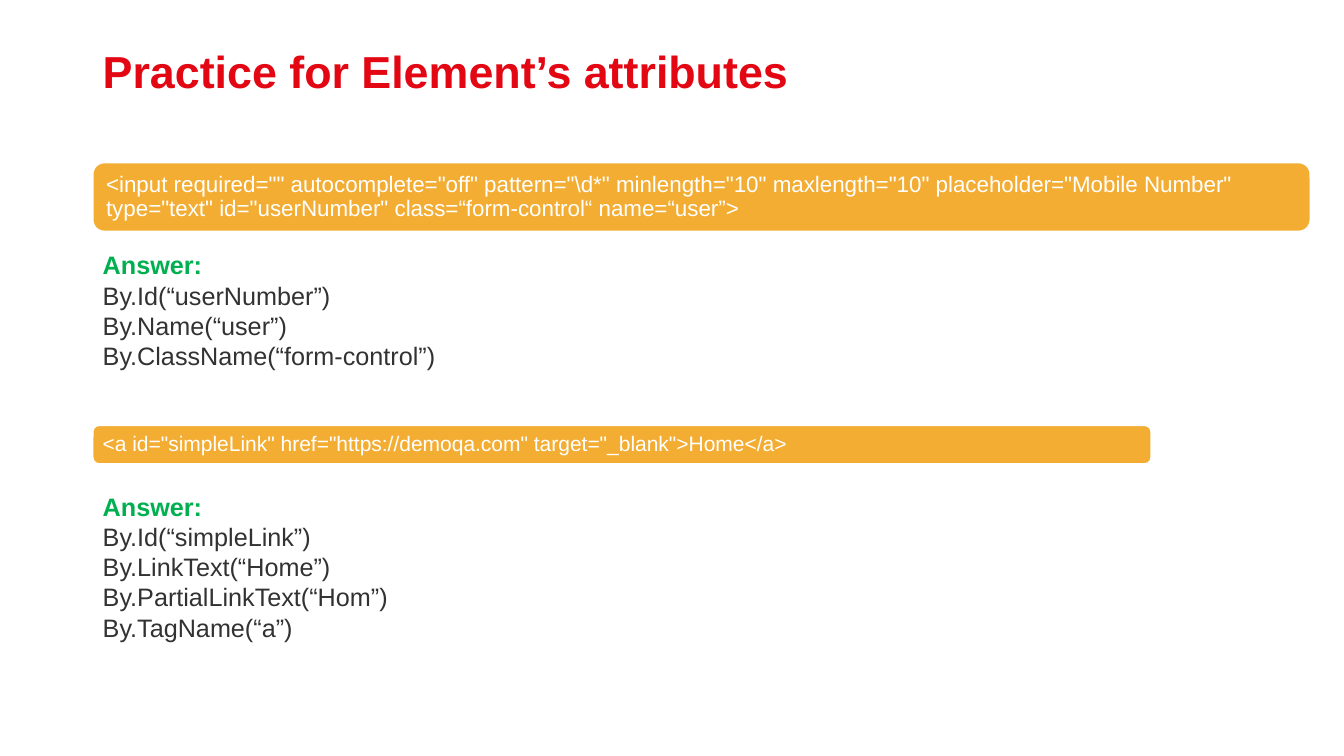
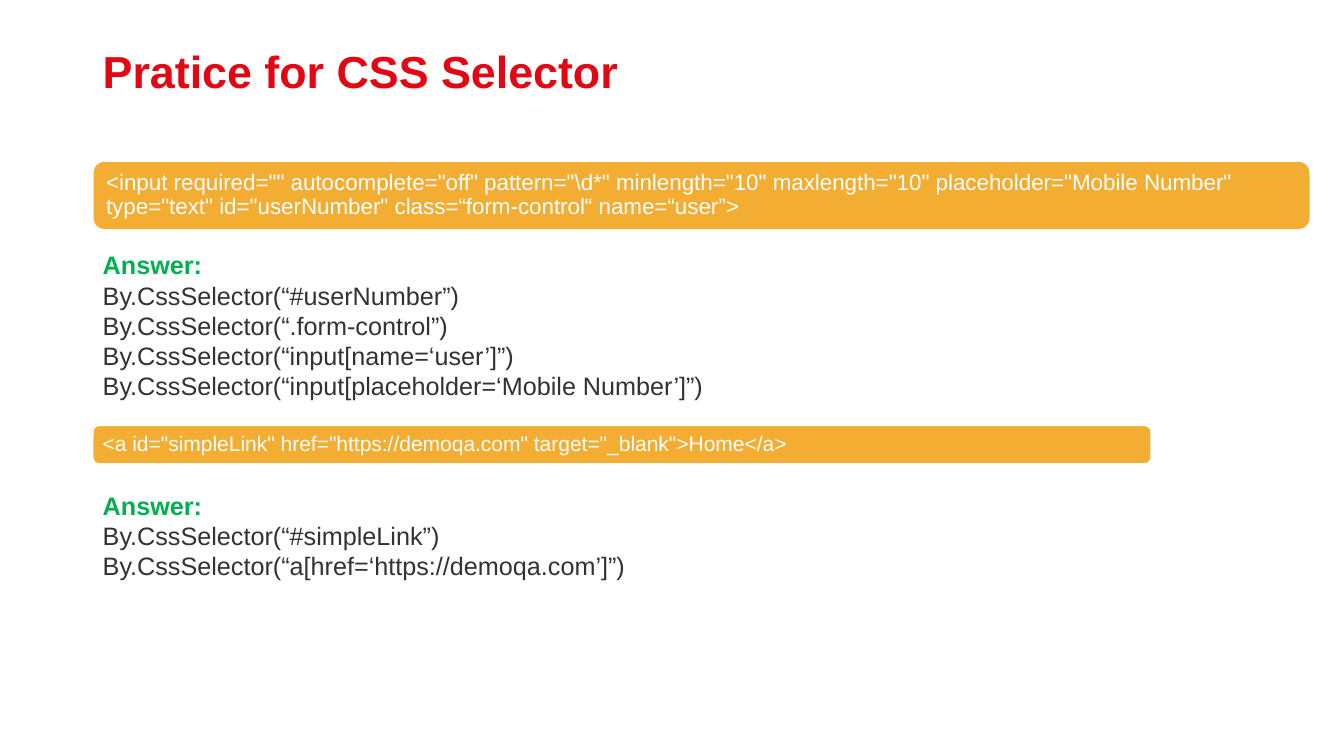
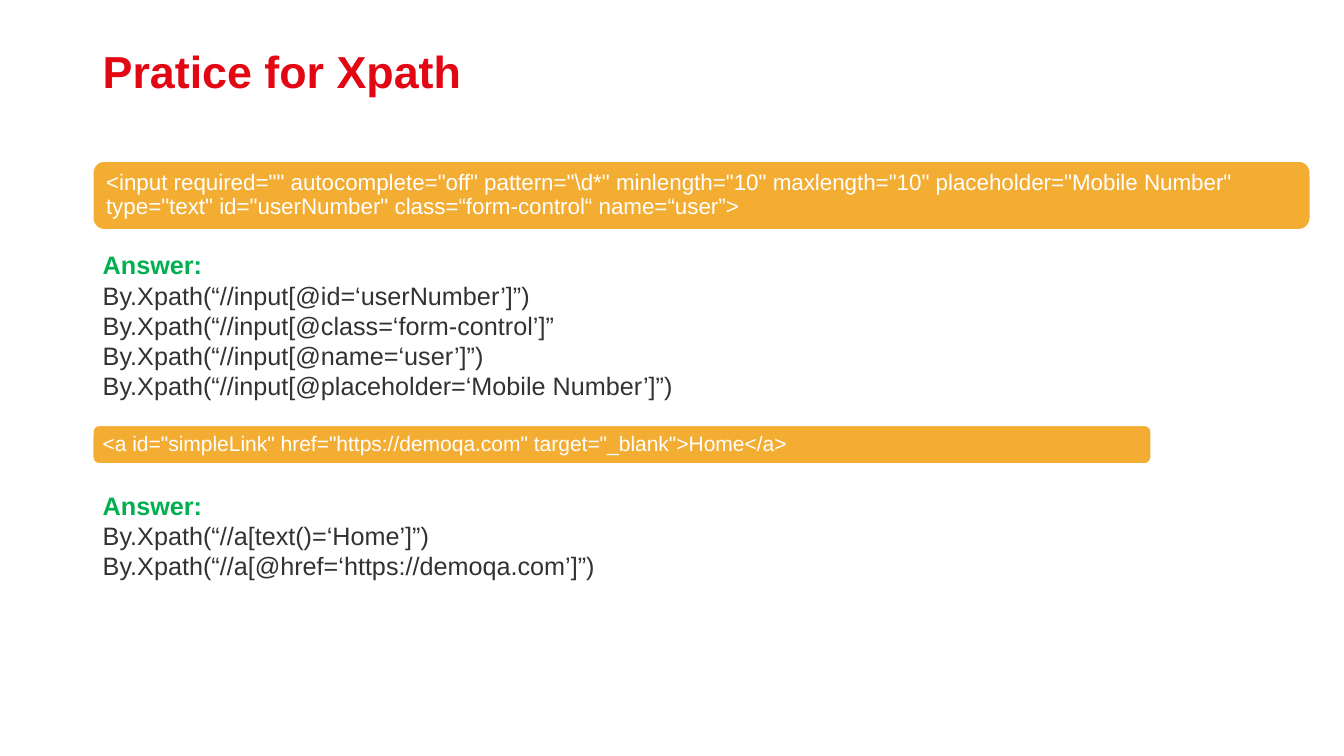
from dataclasses import dataclass

from pptx import Presentation
from pptx.dml.color import RGBColor
from pptx.enum.shapes import MSO_SHAPE as Preset
from pptx.enum.text import MSO_ANCHOR as Anchor
from pptx.enum.text import MSO_AUTO_SIZE as AutoSize
from pptx.enum.text import PP_ALIGN as Align
from pptx.slide import Slide
from pptx.util import Cm, Pt

# Shared style
RED = RGBColor(0xE3, 0x06, 0x13)
ORANGE = RGBColor(0xF3, 0xAD, 0x33)
GREEN = RGBColor(0x00, 0xB0, 0x50)
DARK = RGBColor(0x32, 0x32, 0x32)
WHITE = RGBColor(0xFF, 0xFF, 0xFF)
FONT = "Arial"
LEFT = Cm(2.34)
LINE_SPACING = 0.9
ANSWER_LINE = 0.77  # cm for each line of an answer
ANSWER_PADDING = 0.25


@dataclass(frozen=True)
class CodeBar:
    code: str
    width: float
    height: float
    inset: float
    size: int


@dataclass(frozen=True)
class Answer:
    top: float
    width: float
    lines: tuple[str, ...]


@dataclass(frozen=True)
class Practice:
    title: str
    input_top: float
    input_answer: Answer
    link_answer: Answer


INPUT_BAR = CodeBar(
    '<input required="" autocomplete="off" pattern="\\d*" minlength="10" '
    'maxlength="10" placeholder="Mobile Number" type="text" id="userNumber" '
    'class=“form-control“ name=“user”>',
    width=30.68, height=1.73, inset=0.25, size=16)
LINK_BAR = CodeBar(
    '<a id="simpleLink" href="https://demoqa.com" target="_blank">Home</a>',
    width=26.67, height=0.97, inset=0.2, size=15)
LINK_TOP = 10.72

PRACTICES = (
    Practice(
        "Practice for Element’s attributes", 4.1,
        Answer(6.17, 16.94, (
            "By.Id(“userNumber”)",
            "By.Name(“user”)",
            "By.ClassName(“form-control”)")),
        Answer(12.25, 16.94, (
            "By.Id(“simpleLink”)",
            "By.LinkText(“Home”)",
            "By.PartialLinkText(“Hom”)",
            "By.TagName(“a”)"))),
    Practice(
        "Pratice for CSS Selector", 4.06,
        Answer(6.17, 22.2, (
            "By.CssSelector(“#userNumber”)",
            "By.CssSelector(“.form-control”)",
            "By.CssSelector(“input[name=‘user’]”)",
            "By.CssSelector(“input[placeholder=‘Mobile Number’]”)")),
        Answer(12.22, 16.94, (
            "By.CssSelector(“#simpleLink”)",
            "By.CssSelector(“a[href=‘https://demoqa.com’]”)"))),
    Practice(
        "Pratice for Xpath", 4.06,
        Answer(6.17, 22.2, (
            "By.Xpath(“//input[@id=‘userNumber’]”)",
            "By.Xpath(“//input[@class=‘form-control’]”",
            "By.Xpath(“//input[@name=‘user’]”)",
            "By.Xpath(“//input[@placeholder=‘Mobile Number’]”)")),
        Answer(12.22, 16.94, (
            "By.Xpath(“//a[text()=‘Home’]”)",
            "By.Xpath(“//a[@href=‘https://demoqa.com’]”)"))),
)


def add_span(para, text: str, size: int, color: RGBColor, bold: bool = False) -> None:
    span = para.add_run()
    span.text = text
    span.font.name = FONT
    span.font.size = Pt(size)
    span.font.bold = bold
    span.font.color.rgb = color


def add_title(page: Slide, title: str) -> None:
    box = page.shapes.add_textbox(LEFT, Cm(1.12), Cm(29.21), Cm(1.5))
    box.text_frame.word_wrap = True
    para = box.text_frame.paragraphs[0]
    para.line_spacing = LINE_SPACING
    add_span(para, title, 32, RED, bold=True)


def add_code_bar(page: Slide, bar: CodeBar, top: float) -> None:
    box = page.shapes.add_shape(
        Preset.ROUNDED_RECTANGLE, LEFT, Cm(top), Cm(bar.width), Cm(bar.height))
    box.shadow.inherit = False
    box.fill.solid()
    box.fill.fore_color.rgb = ORANGE
    box.line.color.rgb = WHITE
    box.line.width = Pt(1)
    frame = box.text_frame
    frame.word_wrap = True
    frame.vertical_anchor = Anchor.MIDDLE
    frame.margin_left = frame.margin_right = Cm(bar.inset)
    frame.margin_top = frame.margin_bottom = 0
    para = frame.paragraphs[0]
    para.alignment = Align.LEFT
    para.line_spacing = LINE_SPACING
    add_span(para, bar.code, bar.size, WHITE)


def add_answer(page: Slide, answer: Answer) -> None:
    height = ANSWER_PADDING + ANSWER_LINE * (len(answer.lines) + 1)
    box = page.shapes.add_textbox(LEFT, Cm(answer.top), Cm(answer.width), Cm(height))
    frame = box.text_frame
    frame.word_wrap = True
    frame.auto_size = AutoSize.SHAPE_TO_FIT_TEXT
    add_span(frame.paragraphs[0], "Answer:", 18, GREEN, bold=True)
    for line in answer.lines:
        add_span(frame.add_paragraph(), line, 18, DARK)


def main() -> None:
    deck = Presentation()
    deck.slide_width, deck.slide_height = Cm(33.87), Cm(19.05)
    blank = deck.slide_layouts[6]
    for practice in PRACTICES:
        page = deck.slides.add_slide(blank)
        add_title(page, practice.title)
        # Input element and its locators
        add_code_bar(page, INPUT_BAR, practice.input_top)
        add_answer(page, practice.input_answer)
        # Link element and its locators
        add_code_bar(page, LINK_BAR, LINK_TOP)
        add_answer(page, practice.link_answer)
    deck.save("out.pptx")


if __name__ == "__main__":
    main()
